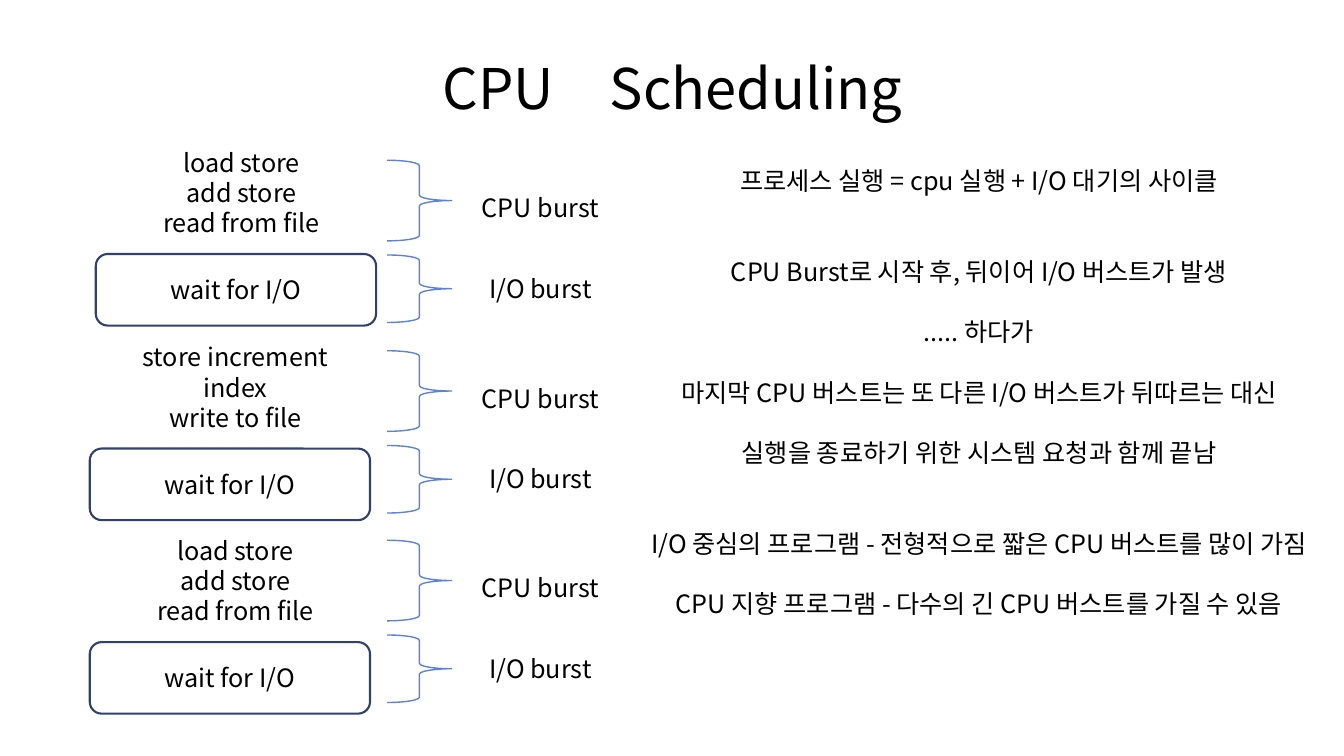
from dataclasses import dataclass

from lxml.etree import SubElement
from pptx import Presentation
from pptx.dml.color import RGBColor
from pptx.enum.shapes import MSO_SHAPE as Shape
from pptx.enum.text import MSO_ANCHOR as Anchor, MSO_AUTO_SIZE as AutoSize, PP_ALIGN as Align
from pptx.oxml.ns import qn
from pptx.shapes.autoshape import Shape as AutoShape
from pptx.slide import Slide
from pptx.text.text import TextFrame
from pptx.util import Emu, Pt

PX = 9144  # 100 px to the inch
FONT = "Noto Sans CJK KR"
BLACK = RGBColor(0x00, 0x00, 0x00)
WHITE = RGBColor(0xFF, 0xFF, 0xFF)
NAVY = RGBColor(0x30, 0x41, 0x6A)
BLUE = RGBColor(0x5E, 0x81, 0xD9)
TEXT_SIZE = 18
LINE_PT = 21.6


@dataclass(frozen=True)
class Box:
    left: int
    top: int
    width: int
    height: int

    def emu(self) -> tuple[Emu, ...]:
        return tuple(Emu(n * PX) for n in (self.left, self.top, self.width, self.height))


@dataclass(frozen=True)
class Line:
    text: str
    blank_lines_before: int = 0


@dataclass(frozen=True)
class Cycle:
    """A CPU burst followed by an I/O burst."""
    instructions: tuple[str, ...]
    wait_left: int
    wait_top: int
    brace_top: int


@dataclass(frozen=True)
class Burst:
    label: str
    brace_offset: int
    brace_height: int
    label_offset: int


FILE_READ = ("load store", "add store", "read from file")
FILE_WRITE = ("store increment", "index", "write to file")
CYCLES = (
    Cycle(FILE_READ, 95, 252, 159),
    Cycle(FILE_WRITE, 89, 445, 348),
    Cycle(FILE_READ, 89, 637, 536),
)
BURSTS = (
    Burst("CPU burst", 0, 80, 27),
    Burst("I/O burst", 94, 67, 13),
)
EXPLANATION = (
    Line("프로세스 실행 = cpu 실행 + I/O 대기의 사이클"),
    Line("CPU Burst로 시작 후, 뒤이어 I/O 버스트가 발생", 2),
    Line("..... 하다가", 1),
    Line("마지막 CPU 버스트는 또 다른 I/O 버스트가 뒤따르는 대신", 1),
    Line("실행을 종료하기 위한 시스템 요청과 함께 끝남", 1),
    Line("I/O 중심의 프로그램 - 전형적으로 짧은 CPU 버스트를 많이 가짐", 2),
    Line("CPU 지향 프로그램 - 다수의 긴 CPU 버스트를 가질 수 있음", 1),
)


def write(frame: TextFrame, lines: tuple[Line, ...], size: int = TEXT_SIZE,
          anchor: Anchor = Anchor.TOP) -> None:
    frame.word_wrap = True
    frame.auto_size = AutoSize.NONE
    frame.vertical_anchor = anchor
    frame.text = "\n".join(line.text for line in lines)
    for paragraph, line in zip(frame.paragraphs, lines):
        paragraph.alignment = Align.CENTER
        paragraph.line_spacing = Pt(LINE_PT * size / TEXT_SIZE)
        paragraph.space_before = Pt(line.blank_lines_before * LINE_PT)
        properties = paragraph._p.get_or_add_pPr()
        properties.set("marL", "0")
        properties.set("indent", "0")
        font = paragraph.font
        font.name, font.size = FONT, Pt(size)
        font.color.rgb = BLACK
        SubElement(font._element, qn("a:ea")).set("typeface", FONT)
        bullet_none = SubElement(properties, qn("a:buNone"))
        font._element.addprevious(bullet_none)


def fill_placeholder(placeholder: AutoShape, box: Box) -> TextFrame:
    placeholder.left, placeholder.top, placeholder.width, placeholder.height = box.emu()
    return placeholder.text_frame


def add_text(slide: Slide, box: Box, *texts: str) -> None:
    frame = slide.shapes.add_textbox(*box.emu()).text_frame
    write(frame, tuple(Line(text) for text in texts))


def add_outline(slide: Slide, kind: Shape, box: Box, color: RGBColor, width: float) -> AutoShape:
    shape = slide.shapes.add_shape(kind, *box.emu())
    shape.shadow.inherit = False
    shape.fill.background()
    shape.line.color.rgb = color
    shape.line.width = Pt(width)
    return shape


def add_cycle(slide: Slide, cycle: Cycle) -> None:
    wait = add_outline(slide, Shape.ROUNDED_RECTANGLE,
                       Box(cycle.wait_left, cycle.wait_top, 278, 71), NAVY, 1.5)
    wait.fill.solid()
    wait.fill.fore_color.rgb = WHITE
    write(wait.text_frame, (Line("wait for I/O"),), anchor=Anchor.MIDDLE)
    add_text(slide, Box(cycle.wait_left + 12, cycle.wait_top - 111, 265, 99),
             *cycle.instructions)
    for burst in BURSTS:
        top = cycle.brace_top + burst.brace_offset
        add_outline(slide, Shape.RIGHT_BRACE, Box(384, top, 64, burst.brace_height), BLUE, 1)
        add_text(slide, Box(448, top + burst.label_offset, 176, 40), burst.label)


def main() -> None:
    presentation = Presentation()
    presentation.slide_width, presentation.slide_height = Emu(1333 * PX), Emu(750 * PX)
    slide = presentation.slides.add_slide(presentation.slide_layouts[1])
    title = fill_placeholder(slide.shapes.title, Box(234, 46, 866, 80))
    write(title, (Line("CPU　Scheduling"),), size=40, anchor=Anchor.MIDDLE)
    explanation = fill_placeholder(slide.placeholders[1], Box(624, 159, 694, 550))
    write(explanation, EXPLANATION)
    for cycle in CYCLES:
        add_cycle(slide, cycle)
    presentation.save("out.pptx")


if __name__ == "__main__":
    main()
